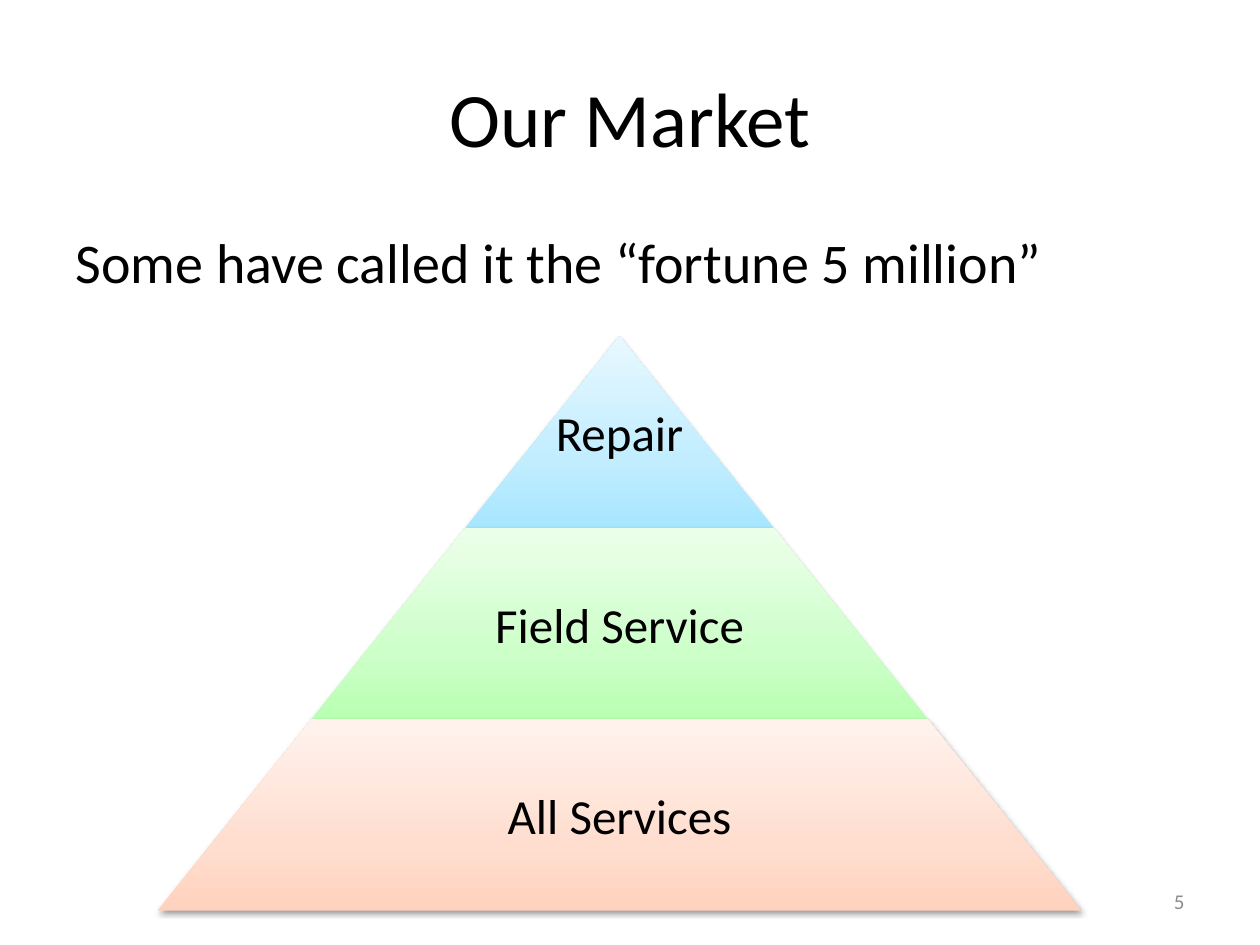
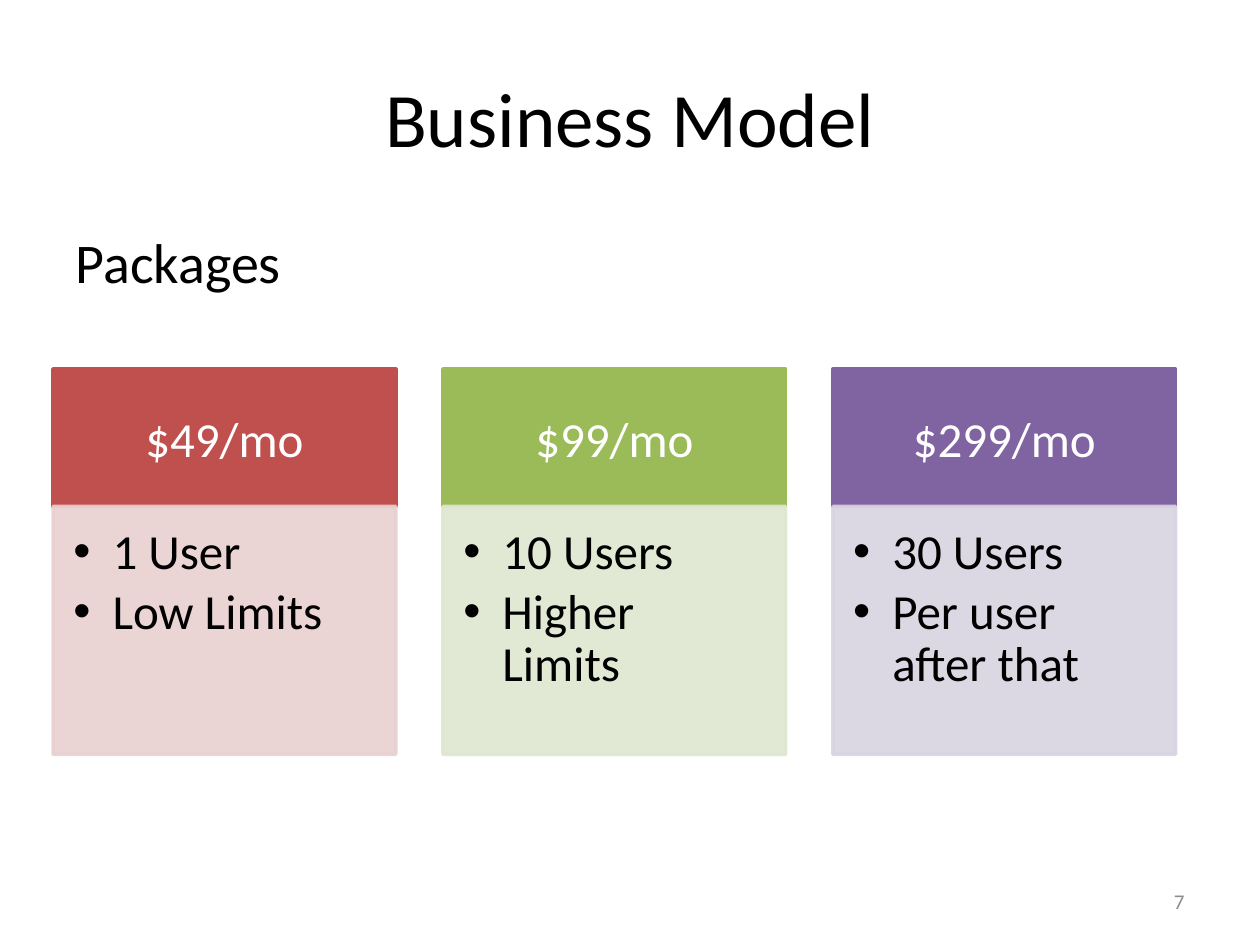
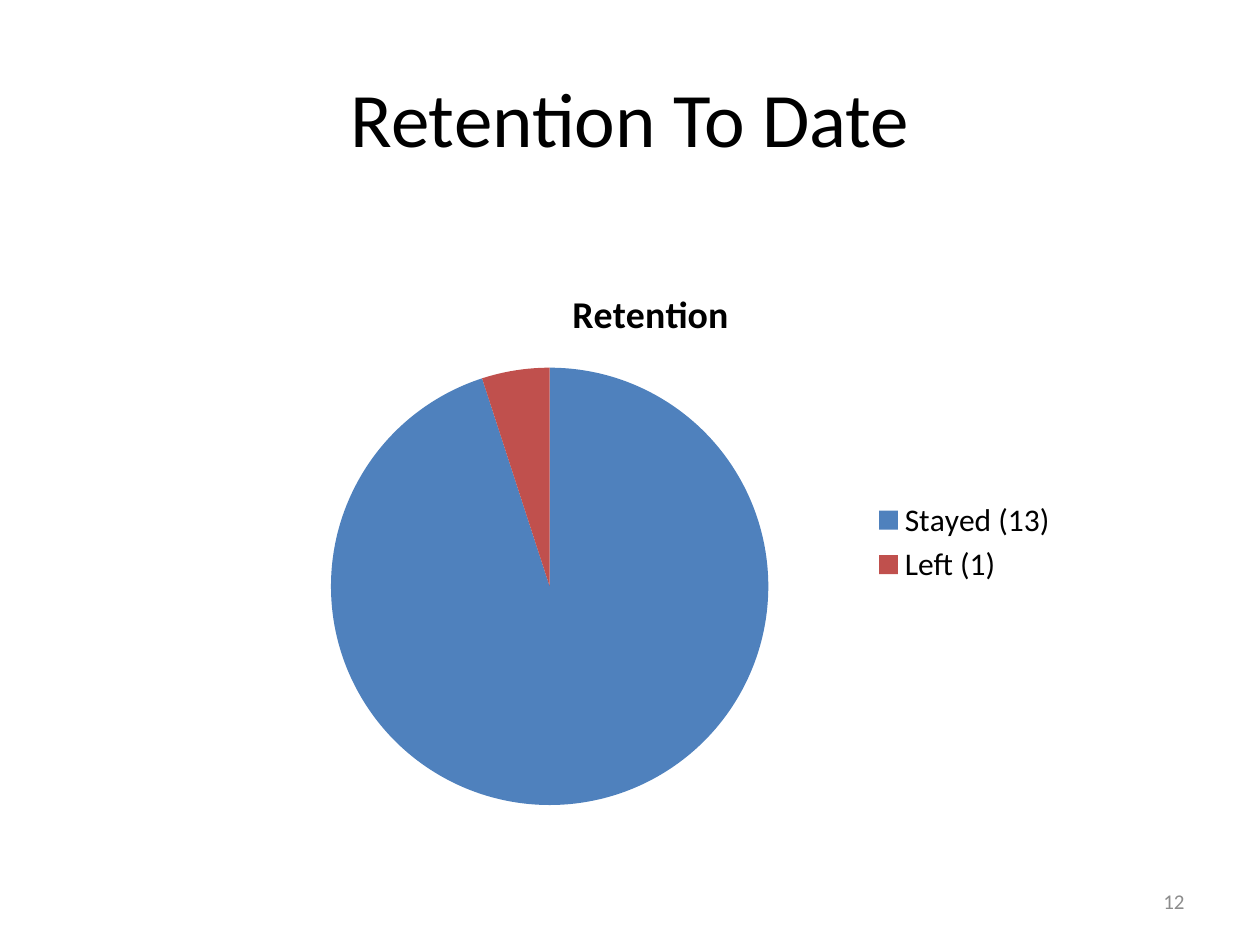
from lxml import etree
from pptx import Presentation
from pptx.chart.data import CategoryChartData
from pptx.dml.color import RGBColor
from pptx.enum.chart import XL_CHART_TYPE, XL_LEGEND_POSITION
from pptx.enum.shapes import MSO_SHAPE
from pptx.enum.text import MSO_ANCHOR, PP_ALIGN
from pptx.oxml.ns import qn
from pptx.util import Cm, Pt

RECT, TRAP = MSO_SHAPE.RECTANGLE, MSO_SHAPE.TRAPEZOID
TOP, MID = MSO_ANCHOR.TOP, MSO_ANCHOR.MIDDLE
LEFT, MIDDLE, RIGHT = PP_ALIGN.LEFT, PP_ALIGN.CENTER, PP_ALIGN.RIGHT
PIE, SIDE = XL_CHART_TYPE.PIE, XL_LEGEND_POSITION.RIGHT

FONT = "Calibri"
HUES = {
    "ink": "000000", "paper": "FFFFFF", "mute": "8C8C8C", "blue": "4F81BD",
    "red": "C0504D", "green": "9BBB59", "plum": "8064A2",
    "red tint": "E8D0D0", "green tint": "DEE7D1", "plum tint": "D8D3E0",
}
FADES = {
    "sky": ("A7E6FF", "C1EDFF", "E7F8FF"),
    "mint": ("B9FFB2", "CDFFC9", "ECFFEA"),
    "peach": ("FFD2BD", "FFDED0", "FFF2ED"),
}


def hue(name):
    return RGBColor.from_string(HUES[name])


def node(root, tag, **attrs):
    return etree.SubElement(root, qn("a:" + tag), {k: str(v) for k, v in attrs.items()})


class Deck:
    def __init__(self):
        self.prs = Presentation()
        self.prs.slide_width, self.prs.slide_height = Cm(25.4), Cm(19.05)
        self.slide = None

    def start(self, title, number, lead=None, tall=12.57):
        layout = self.prs.slide_layouts[1 if lead else 5]
        self.slide = self.prs.slides.add_slide(layout)
        head = self.slide.shapes.title
        self.place(head, 1.27, 0.76, 22.86, 3.18)
        self.fill_text(head, [title], 44, align=MIDDLE, anchor=MID)
        if lead:
            body = self.slide.placeholders[1]
            self.place(body, 1.27, 4.45, 22.86, tall)
            self.fill_text(body, [lead], 32)
            props = body.text_frame.paragraphs[0]._p.get_or_add_pPr()
            props.set("marL", "0")
            props.set("indent", "0")
            node(props, "buNone")
        self.label(number, (18.2, 17.65, 5.93, 1.02), 12, "mute", RIGHT)

    def place(self, shape, left, top, wide, tall):
        shape.left, shape.top = Cm(left), Cm(top)
        shape.width, shape.height = Cm(wide), Cm(tall)

    def style(self, font, size, color="ink", bold=False):
        font.name, font.size, font.bold = FONT, Pt(size), bold
        font.color.rgb = hue(color)

    def fill_text(self, shape, lines, size, color="ink", align=LEFT, anchor=TOP, pads=None):
        frame = shape.text_frame
        frame.text = "\n".join(lines)
        frame.word_wrap, frame.vertical_anchor = True, anchor
        if pads:
            (frame.margin_left, frame.margin_top,
             frame.margin_right, frame.margin_bottom) = map(Cm, pads)
        for para in frame.paragraphs:
            para.alignment = align
            for run in para.runs:
                self.style(run.font, size, color)

    def label(self, text, area, size, color="ink", align=MIDDLE, pads=None):
        box = self.slide.shapes.add_textbox(*map(Cm, area))
        self.fill_text(box, [text], size, color, align, MID, pads)

    def tier(self, text, area, fade, ratio):
        left, top, wide, tall = area
        shape = self.slide.shapes.add_shape(TRAP, *map(Cm, area))
        shape.adjustments[0] = 0.805
        shape.line.fill.background()
        shape.fill.gradient()
        shape.fill.gradient_angle = 90
        props = shape.element.spPr
        stops = props.find(".//" + qn("a:gsLst"))
        for stop in list(stops):
            stops.remove(stop)
        for spot, tone in zip((0, 35, 100), FADES[fade]):
            node(node(stops, "gs", pos=spot * 1000), "srgbClr", val=tone)
        shape.shadow.inherit = False
        shade = node(props.find(qn("a:effectLst")), "outerShdw", blurRad=Pt(3.1),
                     dist=Pt(1.6), dir=5400000, rotWithShape=0)
        node(node(shade, "srgbClr", val=HUES["ink"]), "alpha", val=38000)
        inner = wide * ratio
        self.label(text, (left + (wide - inner) / 2, top, inner, tall), 28, pads=(0.1,) * 4)

    def panel(self, area, color, clear=False):
        shape = self.slide.shapes.add_shape(RECT, *map(Cm, area))
        shape.shadow.inherit = False
        shape.fill.solid()
        shape.fill.fore_color.rgb = hue(color)
        shape.line.color.rgb = hue(color)
        shape.line.width = Pt(2)
        if clear:
            for tone in shape.element.spPr.iter(qn("a:srgbClr")):
                node(tone, "alpha", val=90000)
        return shape

    def card(self, left, price, perks, color):
        wide = 6.91
        head = self.panel((left, 7.44, wide, 2.77), color)
        self.fill_text(head, [price], 28, "paper", MIDDLE, MID, (0.56, 0.3, 0.56, 0.3))
        body = self.panel((left, 10.21, wide, 5), color + " tint", True)
        self.fill_text(body, perks, 28, pads=(0.41, 0.41, 0.56, 0.61))
        for para in body.text_frame.paragraphs:
            para.line_spacing, para.space_after = 0.9, Pt(4)
            props = para._p.get_or_add_pPr()
            props.set("marL", str(Cm(0.79)))
            props.set("indent", str(Cm(-0.79)))
            node(props, "buFont", typeface="Arial")
            node(props, "buChar", char="•")

    def pie(self, title, parts, area):
        data = CategoryChartData()
        data.categories = [name for name, _, _ in parts]
        data.add_series(title, [value for _, value, _ in parts])
        chart = self.slide.shapes.add_chart(PIE, *map(Cm, area), data).chart
        self.style(chart.font, 18)
        chart.has_title = True
        chart.chart_title.text_frame.text = title
        run = chart.chart_title.text_frame.paragraphs[0].runs[0]
        self.style(run.font, 21.6, bold=True)
        chart.has_legend = True
        chart.legend.position = SIDE
        chart.legend.include_in_layout = False
        plot = chart.plots[0]
        plot.vary_by_categories = True
        for spot, (_, _, color) in enumerate(parts):
            fill = plot.series[0].points[spot].format.fill
            fill.solid()
            fill.fore_color.rgb = hue(color)


deck = Deck()

deck.start("Our Market", "5", "Some have called it the “fortune 5 million”")
tiers = [("Repair", "sky", 1), ("Field Service", "mint", 0.65), ("All Services", "peach", 0.65)]
step, tall, mid = 6.21, 3.86, 12.49
for row, (text, fade, ratio) in enumerate(tiers):
    wide = step * (row + 1)
    deck.tier(text, (mid - wide / 2, 6.78 + row * tall, wide, tall), fade, ratio)

deck.start("Business Model", "7", "Packages", 2.1)
plans = [
    ("$49/mo", ["1 User", "Low Limits"], "red"),
    ("$99/mo", ["10 Users", "Higher Limits"], "green"),
    ("$299/mo", ["30 Users", "Per user after that"], "plum"),
]
for col, plan in enumerate(plans):
    deck.card(1.07 + col * 7.86, *plan)

deck.start("Retention To Date", "12")
deck.pie("Retention", [("Stayed (13)", 95, "blue"), ("Left (1)", 5, "red")],
         (4.65, 5.29, 16.93, 11.29))

deck.prs.save("out.pptx")
